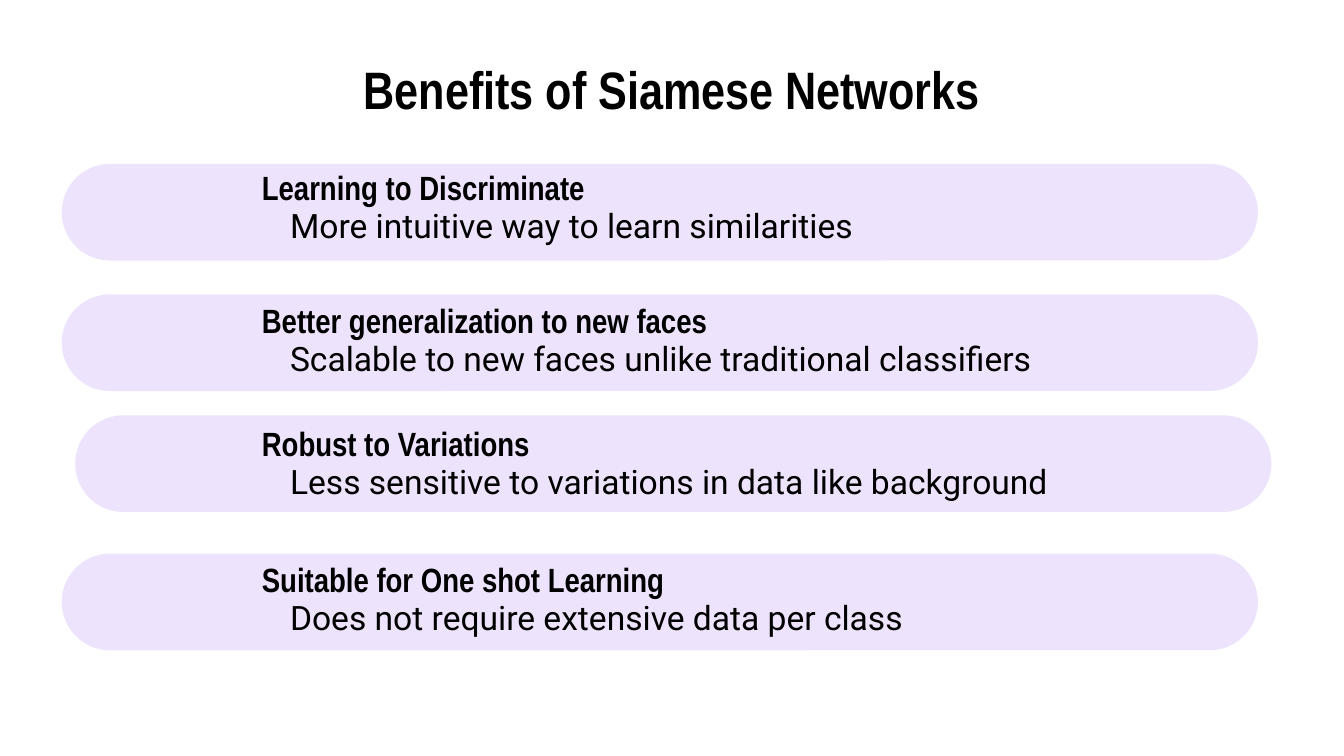
from lxml import etree
from pptx import Presentation
from pptx import util as u
from pptx.dml.color import RGBColor
from pptx.enum import shapes, text
from pptx.oxml import ns

BLACK = RGBColor(0x00, 0x00, 0x00)
PURPLE = RGBColor(0x80, 0x27, 0xEA)
HEADING_FONT = "Arial Narrow"
DETAIL_FONT = "Roboto"
BAND_WIDTH, BAND_HEIGHT = 640.8, 51.8
LINE_HEIGHT = 20.2
HEADING_LEFT, HEADING_WIDTH = 133.2, 517
DETAIL_INDENT = 15.1

BENEFITS = [
    (33.1, 87.8, 2.2, 396.7, "Learning to Discriminate",
     "More intuitive way to learn similarities"),
    (33.1, 157.7, 3.6, 458.6, "Better generalization to new faces",
     "Scalable to new faces unlike traditional classifiers"),
    (40.3, 222.5, 5, 502.6, "Robust to Variations",
     "Less sensitive to variations in data like background"),
    (33.1, 296.6, 3.6, 396.7, "Suitable for One shot Learning",
     "Does not require extensive data per class"),
]


def write_line(frame, words, font_name, size, bold, align):
    frame.word_wrap = True
    frame.auto_size = text.MSO_AUTO_SIZE.NONE
    frame.vertical_anchor = text.MSO_ANCHOR.MIDDLE
    frame.margin_left = frame.margin_right = u.Pt(7.2)
    frame.margin_top = frame.margin_bottom = u.Pt(7.2)
    line = frame.paragraphs[0]
    line.alignment = align
    run = line.add_run()
    run.text = words
    run.font.name = font_name
    run.font.size = u.Pt(size)
    run.font.bold = bold
    run.font.color.rgb = BLACK


def place_title(slide, left, top, width, height):
    title = slide.shapes.title
    title.left, title.top = u.Pt(left), u.Pt(top)
    title.width, title.height = u.Pt(width), u.Pt(height)
    write_line(title.text_frame, "Benefits of Siamese Networks",
               HEADING_FONT, 28.2, True, text.PP_ALIGN.CENTER)


def place_band(slide, left, top, width, height):
    band = slide.shapes.add_shape(
        shapes.MSO_SHAPE.ROUNDED_RECTANGLE,
        u.Pt(left), u.Pt(top), u.Pt(width), u.Pt(height))
    band.adjustments[0] = 0.5
    band.shadow.inherit = False
    band.line.fill.background()
    band.fill.solid()
    band.fill.fore_color.rgb = PURPLE
    tint = band.fill._xPr.find(".//" + ns.qn("a:srgbClr"))
    etree.SubElement(tint, ns.qn("a:alpha"), val="13000")


def place_benefit(slide, left, top, width, detail_width, heading, detail):
    benefit = slide.shapes.add_group_shape()
    lines = [
        (left, top, width, heading, HEADING_FONT, True),
        (left + DETAIL_INDENT, top + LINE_HEIGHT, detail_width, detail,
         DETAIL_FONT, False),
    ]
    for x, y, line_width, words, font_name, bold in lines:
        box = benefit.shapes.add_textbox(
            u.Pt(x), u.Pt(y), u.Pt(line_width), u.Pt(LINE_HEIGHT))
        write_line(box.text_frame, words, font_name, 18, bold,
                   text.PP_ALIGN.LEFT)


def main():
    deck = Presentation()
    deck.slide_width, deck.slide_height = u.Pt(720), u.Pt(405)
    slide = deck.slides.add_slide(deck.slide_layouts[5])
    place_title(slide, 36, 32.4, 648, 29.5)
    for left, top, offset, detail_width, heading, detail in BENEFITS:
        place_band(slide, left, top, BAND_WIDTH, BAND_HEIGHT)
        place_benefit(slide, HEADING_LEFT, top + offset, HEADING_WIDTH,
                      detail_width, heading, detail)
    deck.save("out.pptx")


if __name__ == "__main__":
    main()
